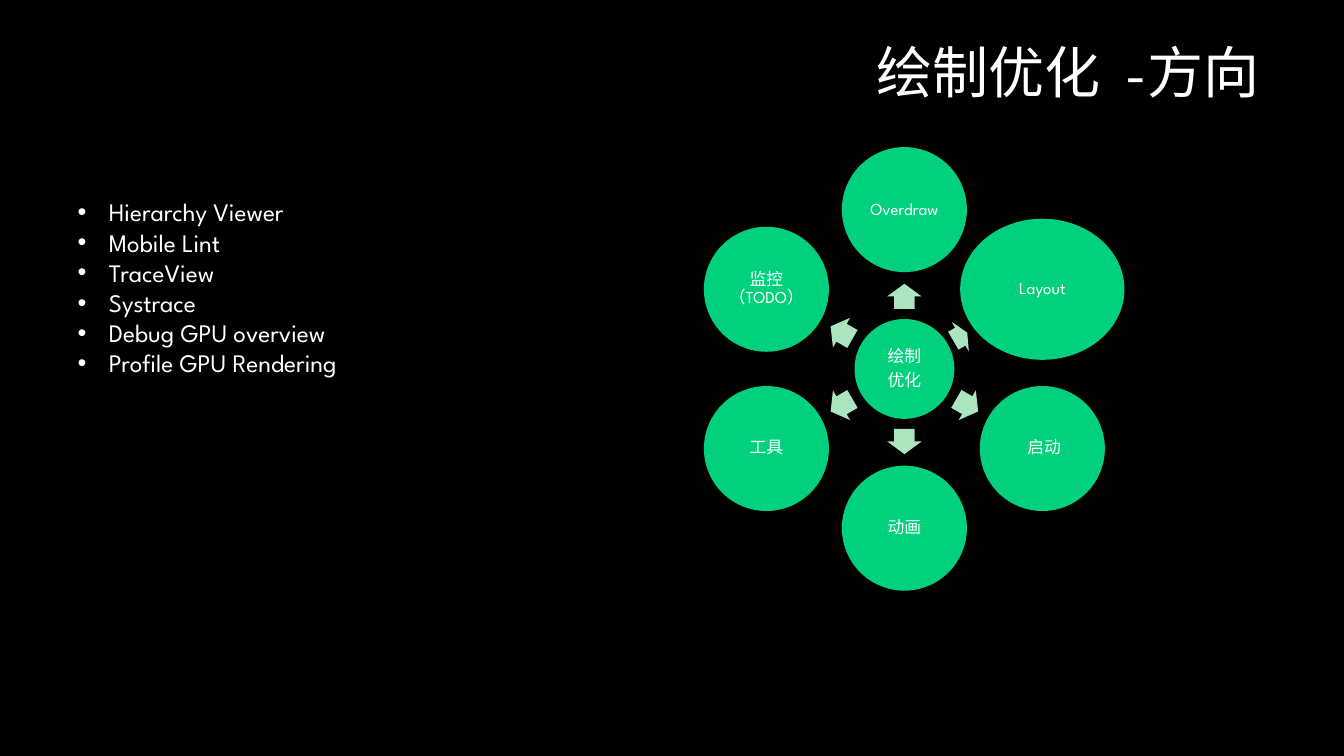
from dataclasses import dataclass
from math import cos, radians, sin

from pptx import Presentation
from pptx.dml.color import RGBColor
from pptx.enum.shapes import MSO_SHAPE as Preset
from pptx.enum.text import MSO_ANCHOR as Anchor, MSO_AUTO_SIZE as AutoSize, PP_ALIGN as Align
from pptx.util import Inches, Pt

TITLE = "绘制优化  -方向"
TOOLS = ["Hierarchy Viewer", "Mobile Lint", "TraceView", "Systrace",
         "Debug GPU overview", "Profile GPU Rendering"]
HUB_TEXT = "绘制\n优化"
CIRCLE, ARROW = (1.24, 1.24), (0.25, 0.72)
TOPICS = [
    ("Overdraw", CIRCLE, ARROW),
    ("Layout", (1.63, 1.4), (0.16, 0.64)),
    (" 启动", CIRCLE, ARROW),
    ("动画", CIRCLE, ARROW),
    ("工具", CIRCLE, ARROW),
    ("监控（TODO）", CIRCLE, ARROW),
]
CENTER = (8.97, 3.66)
HUB_SIZE = (0.99, 0.99)
RING_RADIUS = 1.58
ARROW_WIDTH = 0.34


@dataclass(frozen=True)
class Theme:
    font: str = "League Spartan"
    background: RGBColor = RGBColor(0, 0, 0)
    text: RGBColor = RGBColor(255, 255, 255)
    node: RGBColor = RGBColor(0x01, 0xD1, 0x7D)
    arrow: RGBColor = RGBColor(0xAB, 0xE5, 0xBF)
    title_size: int = 40
    body_size: int = 18
    node_size: int = 12


THEME = Theme()


def style_runs(paragraph, size):
    for run in paragraph.runs:
        run.font.name = THEME.font
        run.font.size = Pt(size)
        run.font.color.rgb = THEME.text


def place(shape, left, top, width, height):
    shape.left, shape.top = Inches(left), Inches(top)
    shape.width, shape.height = Inches(width), Inches(height)


def point_at(angle, radius):
    return (CENTER[0] + radius * cos(radians(angle)),
            CENTER[1] + radius * sin(radians(angle)))


def add_centered(group, preset, center, size, color):
    (x, y), (width, height) = center, size
    shape = group.shapes.add_shape(preset, Inches(x - width / 2), Inches(y - height / 2),
                                   Inches(width), Inches(height))
    shape.shadow.inherit = False
    shape.fill.solid()
    shape.fill.fore_color.rgb = color
    shape.line.fill.background()
    return shape


def add_node(group, text, center, size):
    node = add_centered(group, Preset.OVAL, center, size, THEME.node)
    frame = node.text_frame
    frame.text = text
    frame.word_wrap = True
    frame.vertical_anchor = Anchor.MIDDLE
    frame.margin_left = frame.margin_right = Inches(0.02)
    frame.margin_top = frame.margin_bottom = Inches(0.02)
    for paragraph in frame.paragraphs:
        paragraph.alignment = Align.CENTER
        paragraph.line_spacing = 0.9
        paragraph.space_after = Pt(0.35 * THEME.node_size)
        style_runs(paragraph, THEME.node_size)


def add_arrow(group, angle, length, radius):
    arrow = add_centered(group, Preset.RIGHT_ARROW, point_at(angle, radius),
                         (length, ARROW_WIDTH), THEME.arrow)
    arrow.adjustments[0], arrow.adjustments[1] = 0.6, 0.5
    arrow.rotation = angle % 360


def add_title(slide):
    title = slide.shapes.title
    place(title, 3.17, 0.04, 9.42, 1.41)
    frame = title.text_frame
    frame.text = TITLE
    frame.auto_size = AutoSize.NONE
    frame.vertical_anchor = Anchor.MIDDLE
    paragraph = frame.paragraphs[0]
    paragraph.alignment = Align.RIGHT
    paragraph.line_spacing = 0.9
    style_runs(paragraph, THEME.title_size)


def add_tools(slide):
    body = slide.placeholders[1]
    place(body, 0.67, 1.9, 6.3, 1.92)
    frame = body.text_frame
    frame.text = "\n".join(TOOLS)
    frame.auto_size = AutoSize.SHAPE_TO_FIT_TEXT
    for paragraph in frame.paragraphs:
        properties = paragraph._p.get_or_add_pPr()
        properties.set("marL", str(Inches(0.31)))
        properties.set("indent", str(-Inches(0.31)))
        paragraph.space_before = Pt(0)
        style_runs(paragraph, THEME.body_size)


def add_topic_ring(slide):
    group = slide.shapes.add_group_shape()
    add_node(group, HUB_TEXT, CENTER, HUB_SIZE)
    for index, (text, size, (length, radius)) in enumerate(TOPICS):
        angle = index * 360 / len(TOPICS) - 90
        add_arrow(group, angle, length, radius)
        add_node(group, text, point_at(angle, RING_RADIUS), size)


def main():
    """Build the drawing optimisation slide."""
    presentation = Presentation()
    presentation.slide_width, presentation.slide_height = Inches(13.33), Inches(7.5)
    slide = presentation.slides.add_slide(presentation.slide_layouts[1])
    slide.background.fill.solid()
    slide.background.fill.fore_color.rgb = THEME.background
    add_title(slide)
    add_topic_ring(slide)
    add_tools(slide)
    presentation.save("out.pptx")


if __name__ == "__main__":
    main()
